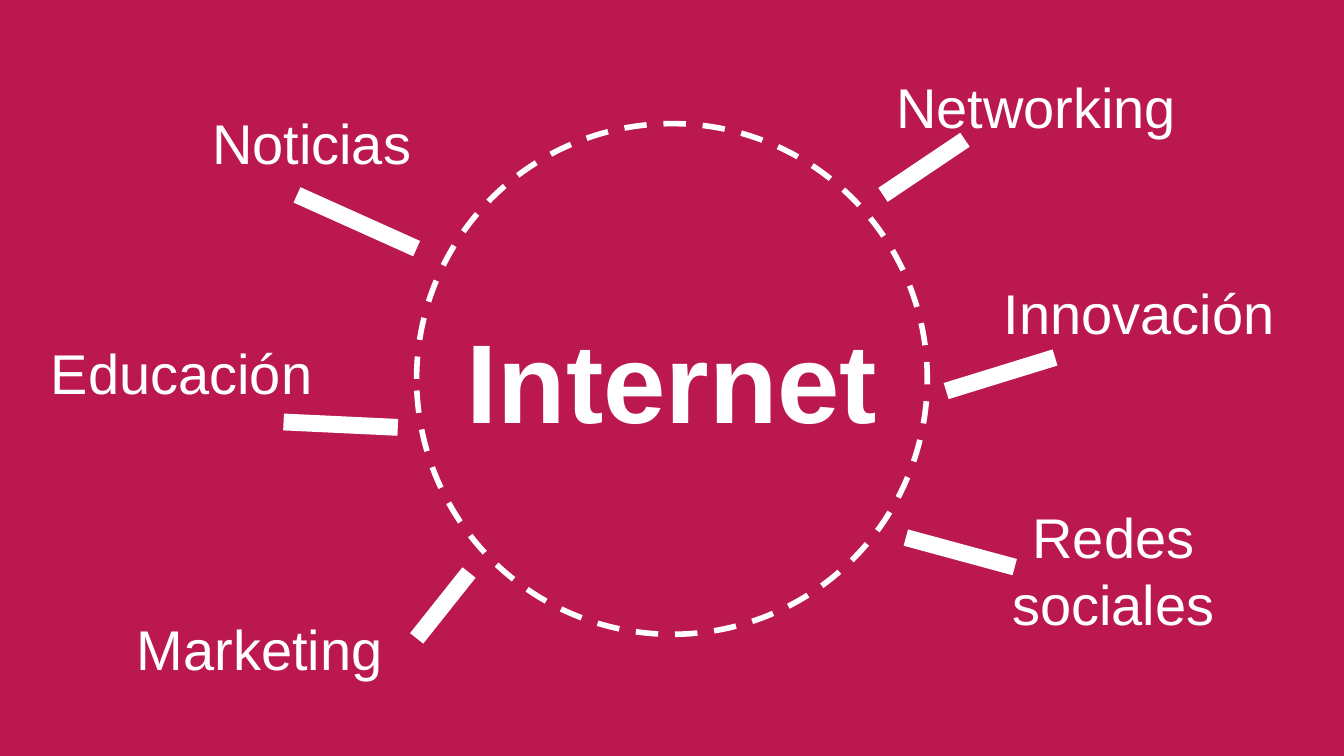
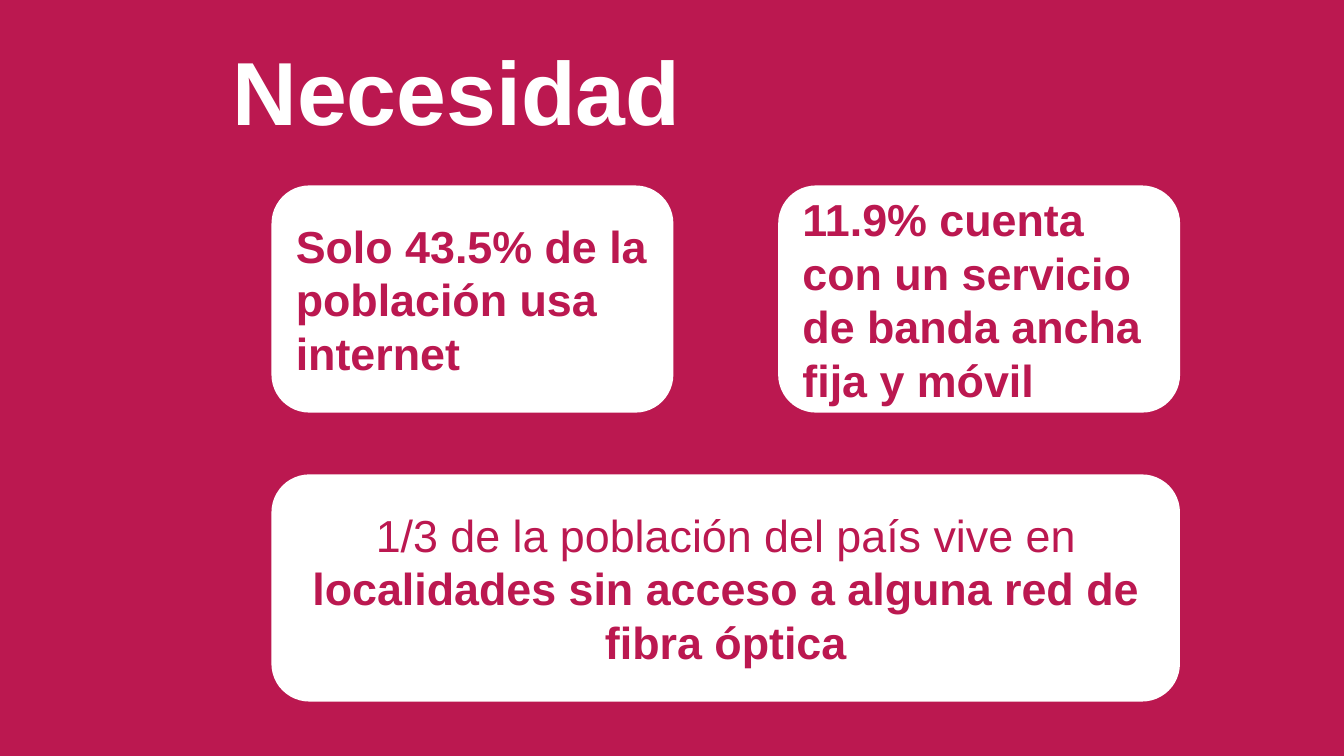
"""Build two slides on internet uses and the need for access."""
from dataclasses import dataclass

from lxml import etree
from pptx import Presentation
from pptx.dml.color import RGBColor
from pptx.enum.dml import MSO_LINE
from pptx.enum.shapes import MSO_CONNECTOR, MSO_SHAPE
from pptx.enum.text import MSO_ANCHOR, MSO_AUTO_SIZE, PP_ALIGN
from pptx.oxml.ns import qn
from pptx.presentation import Presentation as Deck
from pptx.slide import Slide
from pptx.text.text import TextFrame
from pptx.util import Inches, Pt

LEFT, CENTER = PP_ALIGN.LEFT, PP_ALIGN.CENTER
TOP, MIDDLE, BOTTOM = MSO_ANCHOR.TOP, MSO_ANCHOR.MIDDLE, MSO_ANCHOR.BOTTOM
NO_AUTOFIT = MSO_AUTO_SIZE.NONE
OVAL, ROUNDED = MSO_SHAPE.OVAL, MSO_SHAPE.ROUNDED_RECTANGLE
STRAIGHT = MSO_CONNECTOR.STRAIGHT
DASH = MSO_LINE.DASH
TITLE_ONLY = 5
SLIDE_WIDTH = 10
SLIDE_HEIGHT = SLIDE_WIDTH * 9 / 16


@dataclass(frozen=True)
class Theme:
    """Colours, font and sizes in points."""
    crimson: RGBColor = RGBColor(0xBB, 0x18, 0x50)
    white: RGBColor = RGBColor(0xFF, 0xFF, 0xFF)
    font: str = "Arial"
    hub: int = 60
    heading: int = 48
    topic: int = 30
    fact: int = 24
    fact_gap: int = 6
    ring_width: int = 3
    spoke_width: int = 9


THEME = Theme()


@dataclass(frozen=True)
class Box:
    """A rectangle in inches."""
    left: float
    top: float
    width: float
    height: float

    def lengths(self) -> list[Inches]:
        """Return left, top, width and height as lengths."""
        return [Inches(n) for n in (self.left, self.top, self.width, self.height)]


@dataclass(frozen=True)
class Span:
    """A run of text in one style."""
    text: str
    bold: bool = False


@dataclass(frozen=True)
class Topic:
    """A word around the hub and the spoke leading to it."""
    name: str
    left: float
    top: float
    start: tuple[float, float]
    end: tuple[float, float]
    width: float = 2.43
    align: PP_ALIGN = LEFT


@dataclass(frozen=True)
class Fact:
    """A card with one statement."""
    box: Box
    spans: tuple[Span, ...]
    align: PP_ALIGN = LEFT


TOPICS = (
    Topic("Noticias", 1.48, 0.71, (2.21, 1.45), (3.1, 1.85), width=1.76),
    Topic("Networking", 6.57, 0.44, (6.57, 1.45), (7.18, 1.04)),
    Topic("Marketing", 0.92, 4.47, (3.1, 4.75), (3.49, 4.26)),
    Topic("Redes sociales", 7.07, 3.64, (6.74, 4), (7.55, 4.22), align=CENTER),
    Topic("Educación", 0.28, 2.42, (2.11, 3.14), (2.96, 3.18)),
    Topic("Innovación", 7.37, 1.97, (7.04, 2.91), (7.85, 2.66)),
)
TOPIC_HEIGHT = 0.75

CARD_LEFT, CARD_TOP = 2.02, 1.38
CARD_WIDTH, CARD_HEIGHT = 2.99, 1.69
COLUMN_GAP, ROW_GAP = 0.78, 0.46
SECOND_COLUMN = CARD_LEFT + CARD_WIDTH + COLUMN_GAP
SECOND_ROW = CARD_TOP + CARD_HEIGHT + ROW_GAP
FACTS = (
    Fact(Box(CARD_LEFT, CARD_TOP, CARD_WIDTH, CARD_HEIGHT),
         (Span("Solo 43.5% de la población usa internet", True),)),
    Fact(Box(SECOND_COLUMN, CARD_TOP, CARD_WIDTH, CARD_HEIGHT),
         (Span("11.9% cuenta con un servicio de banda ancha fija y móvil", True),)),
    Fact(Box(CARD_LEFT, SECOND_ROW, 2 * CARD_WIDTH + COLUMN_GAP, CARD_HEIGHT),
         (Span("1/3 de la población del país vive en "),
          Span("localidades sin acceso a alguna red de fibra óptica", True)), CENTER),
)


def write(frame: TextFrame, spans: tuple[Span, ...], size: int, color: RGBColor,
          align: PP_ALIGN = LEFT, anchor: MSO_ANCHOR = TOP, space_before: int = 0) -> None:
    """Fill a frame with one paragraph of styled runs."""
    frame.word_wrap = True
    frame.auto_size = NO_AUTOFIT
    frame.vertical_anchor = anchor
    frame.margin_left = frame.margin_right = Inches(0.1)
    frame.margin_top = frame.margin_bottom = Inches(0.1)
    paragraph = frame.paragraphs[0]
    paragraph.alignment = align
    paragraph.space_before = Pt(space_before)
    for span in spans:
        run = paragraph.add_run()
        run.text = span.text
        run.font.name = THEME.font
        run.font.size = Pt(size)
        run.font.bold = span.bold
        run.font.color.rgb = color


def add_titled_slide(deck: Deck, title: str, box: Box, size: int,
                     align: PP_ALIGN, anchor: MSO_ANCHOR) -> Slide:
    """Add a title-only slide with its title placed and styled."""
    slide = deck.slides.add_slide(deck.slide_layouts[TITLE_ONLY])
    heading = slide.shapes.title
    heading.left, heading.top, heading.width, heading.height = box.lengths()
    write(heading.text_frame, (Span(title, True),), size, THEME.white, align, anchor)
    return slide


def draw_ring(slide: Slide, box: Box) -> None:
    """Draw the dashed ring around the hub."""
    ring = slide.shapes.add_shape(OVAL, *box.lengths())
    ring.shadow.inherit = False
    ring.fill.background()
    ring.line.color.rgb = THEME.white
    ring.line.width = Pt(THEME.ring_width)
    ring.line.dash_style = DASH


def draw_word(slide: Slide, topic: Topic) -> None:
    """Write a topic's word."""
    box = Box(topic.left, topic.top, topic.width, TOPIC_HEIGHT)
    word = slide.shapes.add_textbox(*box.lengths())
    write(word.text_frame, (Span(topic.name),), THEME.topic, THEME.white, topic.align)


def draw_spoke(slide: Slide, topic: Topic) -> None:
    """Draw the spoke between a topic and the ring."""
    ends = [Inches(n) for n in topic.start + topic.end]
    spoke = slide.shapes.add_connector(STRAIGHT, *ends)
    spoke.line.color.rgb = THEME.white
    spoke.line.width = Pt(THEME.spoke_width)
    etree.SubElement(spoke.element.spPr, qn("a:effectLst"))


def draw_fact(slide: Slide, fact: Fact) -> None:
    """Draw a rounded card with its statement."""
    card = slide.shapes.add_shape(ROUNDED, *fact.box.lengths())
    card.shadow.inherit = False
    card.adjustments[0] = 0.167
    card.fill.solid()
    card.fill.fore_color.rgb = THEME.white
    card.line.fill.background()
    write(card.text_frame, fact.spans, THEME.fact, THEME.crimson,
          fact.align, MIDDLE, THEME.fact_gap)


def build_internet(deck: Deck) -> None:
    """Build the slide of topics around the internet."""
    slide = add_titled_slide(deck, "Internet", Box(0, 1.97, SLIDE_WIDTH, 1.7),
                             THEME.hub, CENTER, MIDDLE)
    draw_ring(slide, Box(3.1, 0.92, 3.8, 3.8))
    for topic in TOPICS:
        draw_word(slide, topic)
    for topic in TOPICS:
        draw_spoke(slide, topic)


def build_need(deck: Deck) -> None:
    """Build the slide of facts on access."""
    slide = add_titled_slide(deck, "Necesidad", Box(1.63, 0.23, 3.78, 0.94),
                             THEME.heading, LEFT, BOTTOM)
    for fact in FACTS:
        draw_fact(slide, fact)


def main() -> None:
    """Build and save the deck."""
    deck = Presentation()
    deck.slide_width, deck.slide_height = Inches(SLIDE_WIDTH), Inches(SLIDE_HEIGHT)
    backdrop = deck.slide_master.background.fill
    backdrop.solid()
    backdrop.fore_color.rgb = THEME.crimson
    build_internet(deck)
    build_need(deck)
    deck.save("out.pptx")


if __name__ == "__main__":
    main()
